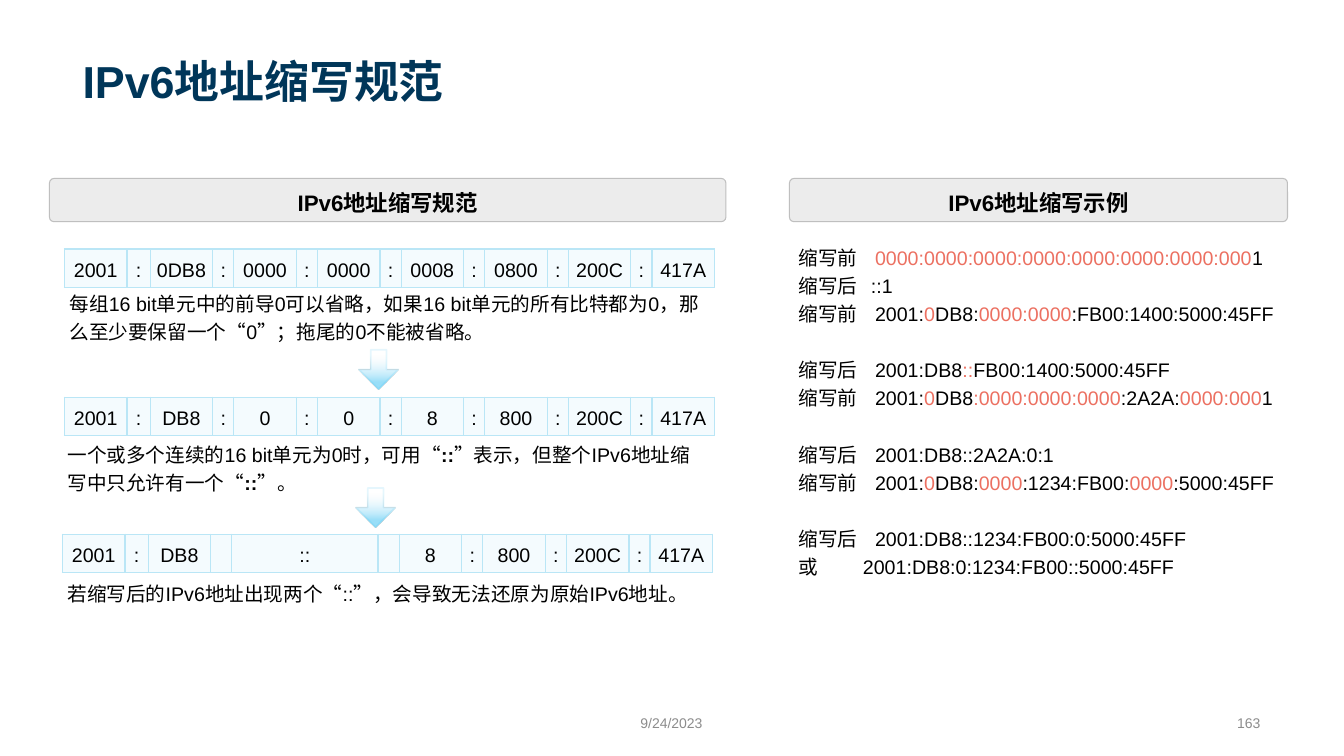
from dataclasses import dataclass

import lxml.etree
import pptx
import pptx.dml.color
import pptx.enum.shapes
import pptx.enum.text
import pptx.oxml.ns
import pptx.util

ALIGN = pptx.enum.text.PP_ALIGN
ANCHOR = pptx.enum.text.MSO_ANCHOR
SHAPE = pptx.enum.shapes.MSO_SHAPE
qn = pptx.oxml.ns.qn
COLORS = {
    "title": "003659", "text": "000000", "accent": "EC7061", "muted": "8C8C8C",
    "bar": "ECECEC", "bar_line": "BFBFBF", "cell": "F4FBFE", "cell_line": "BAE6F6",
    "arrow_top": "EAF7FF", "arrow_tip": "99DFF9", "arrow_line": "00B0F0",
}
FONT = "Arial"
GROUP, COLON, DOUBLE = 6.2, 2.1, 14.5  # column widths of the address tables


@dataclass
class Box:
    """Place on a grid of tenths of an inch."""
    col: float
    row: float
    cols: float
    rows: float

    def emu(self) -> list[int]:
        return [grid(n) for n in (self.col, self.row, self.cols, self.rows)]


@dataclass
class Label:
    """Text box; parts between bars stand out in bold."""
    box: Box
    text: str
    size: float = 14
    color: str = "text"
    bold: bool = False
    align: ALIGN = ALIGN.LEFT
    anchor: ANCHOR = ANCHOR.TOP


@dataclass
class Address:
    col: float
    row: float
    cells: list[str]


@dataclass
class Example:
    """Address line; parts between bars are coloured."""
    name: str
    value: str
    tab: float = 7.6
    before: float = 0


LABELS = [
    Label(Box(7.2, 1.4, 118.8, 9.8), "IPv6地址缩写规范", 32, "title", True, anchor=ANCHOR.BOTTOM),
    Label(Box(5.9, 28, 65.2, 6.4), "每组16 bit单元中的前导0可以省略，如果16 bit单元的所有比特都为0，"
          "那么至少要保留一个“0”；拖尾的0不能被省略。"),
    Label(Box(5.7, 43, 65.2, 6.4), "一个或多个连续的16 bit单元为0时，可用“|::|”表示，"
          "但整个IPv6地址缩写中只允许有一个“|::|”。"),
    Label(Box(5.7, 56.8, 65.2, 3.6), "若缩写后的IPv6地址出现两个“::”，会导致无法还原为原始IPv6地址。"),
    Label(Box(51.6, 70.1, 30, 3), "9/24/2023", 10, "muted", align=ALIGN.CENTER, anchor=ANCHOR.MIDDLE),
    Label(Box(85, 70.1, 41, 3), "163", 10, "muted", align=ALIGN.RIGHT, anchor=ANCHOR.MIDDLE),
]
HEADERS = [(Box(4.9, 17.7, 67.1, 4.3), "IPv6地址缩写规范"),
           (Box(78.3, 17.7, 49.4, 4.3), "IPv6地址缩写示例")]
ADDRESSES = [
    Address(6.4, 24.7, "2001 : 0DB8 : 0000 : 0000 : 0008 : 0800 : 200C : 417A".split()),
    Address(6.4, 39.4, "2001 : DB8 : 0 : 0 : 8 : 800 : 200C : 417A".split()),
    Address(6.2, 53, ["2001", ":", "DB8", "", "::", "", *"8 : 800 : 200C : 417A".split()]),
]
ARROWS = [Box(35.6, 34.7, 3.9, 3.9), Box(35.3, 48.4, 3.9, 3.9)]
EXAMPLES_BOX = Box(78.2, 23.4, 50.5, 35)
EXAMPLES = [
    Example("缩写前", "|0000:0000:0000:0000:0000:0000:0000:000|1"),
    Example("缩写后", "::1", 7.2),
    Example("缩写前", "2001:|0|DB8:|0000:0000|:FB00:1400:5000:45FF"),
    Example("缩写后", "2001:DB8|::|FB00:1400:5000:45FF", before=20),
    Example("缩写前", "2001:|0|DB8|:0000:0000:0000|:2A2A:|0000:000|1"),
    Example("缩写后", "2001:DB8::2A2A:0:1", before=20),
    Example("缩写前", "2001:|0|DB8:|0000|:1234:FB00:|0000|:5000:45FF"),
    Example("缩写后", "2001:DB8::1234:FB00:0:5000:45FF", before=20),
    Example("或", "2001:DB8:0:1234:FB00::5000:45FF", 6.4),
]


def grid(n: float) -> int:
    return pptx.util.Inches(n / 10)


def rgb(name: str) -> pptx.dml.color.RGBColor:
    return pptx.dml.color.RGBColor.from_string(COLORS[name])


def set_alpha(clr, percent: int) -> None:
    lxml.etree.SubElement(clr, qn("a:alpha")).set("val", str(percent * 1000))


def write(p, text: str, size: float = 14, color: str = "text", bold: bool = False,
          align: ALIGN = ALIGN.LEFT, accent: str = "text", accent_bold: bool = False) -> None:
    p.alignment, p.line_spacing = align, 1.2
    for i, part in enumerate(text.split("|")):
        if part:
            r = p.add_run()
            r.text = part
            r.font.name, r.font.size = FONT, pptx.util.Pt(size)
            r.font.bold = accent_bold if i % 2 else bold
            r.font.color.rgb = rgb(accent if i % 2 else color)


def add_label(s, label: Label) -> None:
    tf = s.shapes.add_textbox(*label.box.emu()).text_frame
    tf.word_wrap, tf.vertical_anchor = True, label.anchor
    write(tf.paragraphs[0], label.text, label.size, label.color, label.bold, label.align,
          accent_bold=True)


def add_header(s, box: Box, text: str) -> None:
    sp = s.shapes.add_shape(SHAPE.ROUNDED_RECTANGLE, *box.emu())
    sp.adjustments[0] = 0.11
    sp.shadow.inherit = False
    sp.fill.solid()
    sp.fill.fore_color.rgb = rgb("bar")
    sp.line.color.rgb = rgb("bar_line")
    sp.line.width = pptx.util.Pt(0.75)
    sp.text_frame.vertical_anchor = ANCHOR.MIDDLE
    write(sp.text_frame.paragraphs[0], text, 16, bold=True, align=ALIGN.CENTER)


def add_address(s, address: Address) -> None:
    widths = [DOUBLE if t == "::" else GROUP if i % 2 == 0 else COLON
              for i, t in enumerate(address.cells)]
    widths[1] = 2.3
    box = Box(address.col, address.row, sum(widths), 3.8)
    frame = s.shapes.add_table(1, len(widths), *box.emu())
    for column, width, cell, text in zip(frame.table.columns, widths,
                                         frame.table.rows[0].cells, address.cells):
        column.width = grid(width)
        cell.margin_left = cell.margin_right = cell.margin_top = cell.margin_bottom = 0
        cell.vertical_anchor = ANCHOR.MIDDLE
        write(cell.text_frame.paragraphs[0], text, align=ALIGN.CENTER)
        tc_pr = cell._tc.get_or_add_tcPr()
        for side in ("a:lnL", "a:lnR", "a:lnT", "a:lnB"):
            ln = lxml.etree.SubElement(tc_pr, qn(side), w=str(pptx.util.Pt(1)))
            fill = lxml.etree.SubElement(ln, qn("a:solidFill"))
            lxml.etree.SubElement(fill, qn("a:srgbClr"), val=COLORS["cell_line"])
        cell.fill.solid()
        cell.fill.fore_color.rgb = rgb("cell")


def add_arrow(s, box: Box) -> None:
    sp = s.shapes.add_shape(SHAPE.RIGHT_ARROW, *box.emu())
    sp.rotation = 90
    sp.adjustments[0], sp.adjustments[1] = 0.4, 0.5
    sp.shadow.inherit = False
    sp.fill.gradient()
    sp.fill.gradient_angle = 0
    stops = zip(sp.fill.gradient_stops, (("arrow_top", 0.15), ("arrow_tip", 0.81)))
    for stop, (color, position) in stops:
        stop.color.rgb, stop.position = rgb(color), position
    sp.line.color.rgb = rgb("arrow_line")
    sp.line.width = pptx.util.Pt(1.25)
    top, _, line = sp._element.spPr.iter(qn("a:srgbClr"))
    set_alpha(top, 0)
    set_alpha(line, 10)


def add_examples(s, box: Box, examples: list[Example]) -> None:
    tf = s.shapes.add_textbox(*box.emu()).text_frame
    tf.word_wrap = True
    for i, example in enumerate(examples):
        p = tf.add_paragraph() if i else tf.paragraphs[0]
        write(p, f"{example.name}\t{example.value}", accent="accent")
        if example.before:
            p.space_before = pptx.util.Pt(example.before)
        tabs = lxml.etree.SubElement(p._p.get_or_add_pPr(), qn("a:tabLst"))
        lxml.etree.SubElement(tabs, qn("a:tab"), pos=str(grid(example.tab)), algn="l")


def main() -> None:
    prs = pptx.Presentation()
    prs.slide_width, prs.slide_height = grid(133.3), grid(75)
    s = prs.slides.add_slide(prs.slide_layouts[6])
    # Title, explanations and footer
    for label in LABELS:
        add_label(s, label)
    # Section headers
    for box, text in HEADERS:
        add_header(s, box, text)
    # Address tables and the arrows between them
    for address in ADDRESSES:
        add_address(s, address)
    for box in ARROWS:
        add_arrow(s, box)
    # Examples before and after shortening
    add_examples(s, EXAMPLES_BOX, EXAMPLES)
    prs.save("out.pptx")


if __name__ == "__main__":
    main()
